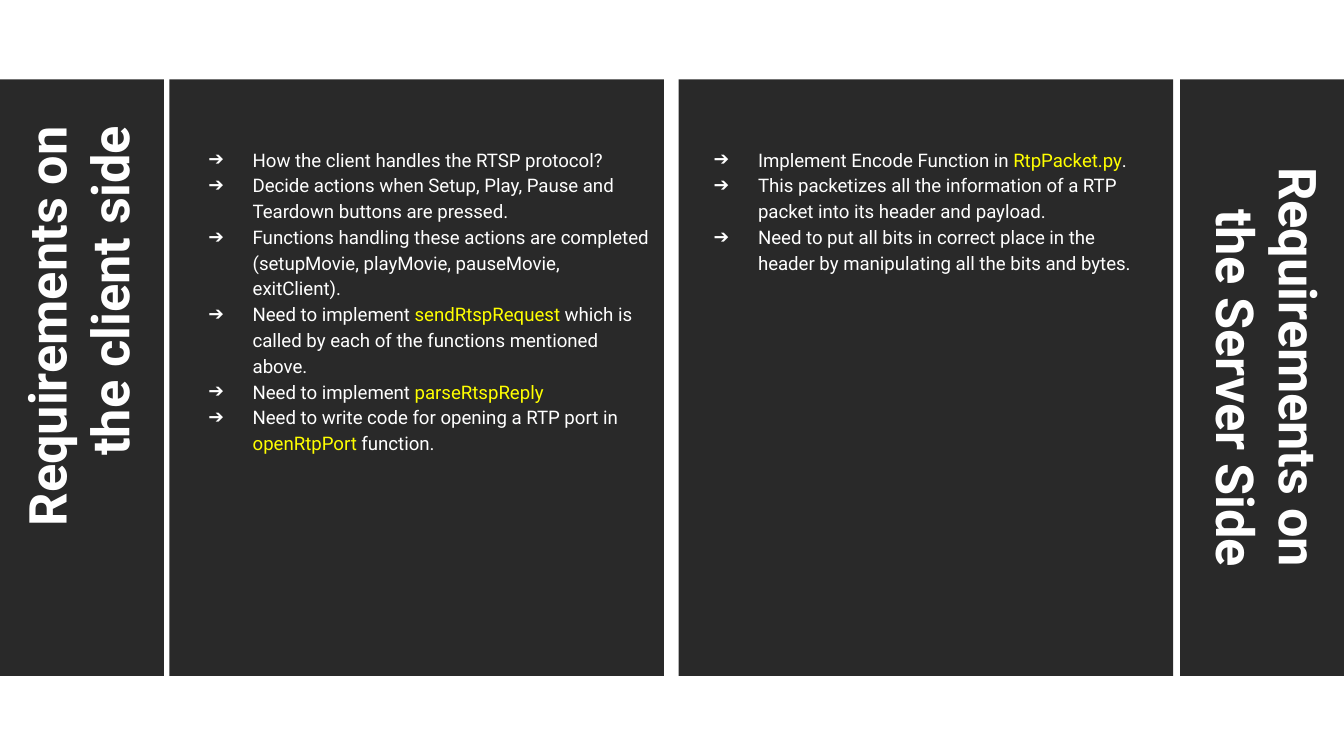
from dataclasses import dataclass

from lxml import etree
from pptx import Presentation
from pptx.dml.color import RGBColor
from pptx.enum.shapes import MSO_SHAPE
from pptx.enum.text import MSO_ANCHOR, MSO_AUTO_SIZE, PP_ALIGN
from pptx.oxml.ns import qn
from pptx.shapes.placeholder import SlidePlaceholder
from pptx.slide import Slide
from pptx.text.text import _Paragraph as Paragraph
from pptx.util import Inches, Pt

RECTANGLE = MSO_SHAPE.RECTANGLE
TOP, BOTTOM = MSO_ANCHOR.TOP, MSO_ANCHOR.BOTTOM
RIGHT = PP_ALIGN.RIGHT
NO_AUTOFIT = MSO_AUTO_SIZE.NONE
COMPARISON_LAYOUT = 4


@dataclass(frozen=True)
class Theme:
    panel: RGBColor = RGBColor(0, 0, 0)
    panel_opacity: int = 84
    text: RGBColor = RGBColor(255, 255, 255)
    highlight: RGBColor = RGBColor(255, 255, 0)
    font: str = "Roboto"
    title_size: int = 28
    list_size: int = 10
    bullet: str = "➔"


@dataclass(frozen=True)
class Frame:
    left: float
    top: float
    width: float
    height: float
    rotation: int = 0


@dataclass(frozen=True)
class Side:
    title: str
    title_id: int
    title_frame: Frame
    title_panel: Frame
    items: tuple[str, ...]  # code names stand between bars
    list_id: int
    list_frame: Frame
    list_panel: Frame


THEME = Theme()
SIDES = (
    Side(
        "Requirements on the client side", 0,
        Frame(-1.25, 2.16, 3.71, 1.07, 270), Frame(-1.61, 2.2, 4.44, 1.22, 90),
        (
            "How the client handles the RTSP protocol?",
            "Decide actions when Setup, Play, Pause and Teardown buttons are pressed.",
            "Functions handling these actions are completed "
            "(setupMovie, playMovie, pauseMovie, exitClient).",
            "Need to implement |sendRtspRequest| which is called by each of "
            "the functions mentioned above.",
            "Need to implement |parseRtspReply",
            "Need to write code for opening a RTP port in |openRtpPort| function.",
        ),
        2, Frame(1.28, 0.98, 3.65, 3.43), Frame(0.88, 0.97, 4.44, 3.68, 270),
    ),
    Side(
        "Requirements on the Server Side", 1,
        Frame(7.66, 2.06, 3.47, 1.05, 90), Frame(7.17, 2.2, 4.44, 1.22, 270),
        (
            "Implement Encode Function in |RtpPacket.py|.",
            "This packetizes all the information of a RTP packet into its "
            "header and payload.",
            "Need to put all bits in correct place in the header by "
            "manipulating all the bits and bytes.",
        ),
        4, Frame(5.04, 0.98, 3.65, 3.43), Frame(4.67, 0.97, 4.44, 3.68, 270),
    ),
)


def draw_panel(page: Slide, frame: Frame) -> None:
    panel = page.shapes.add_shape(
        RECTANGLE, Inches(frame.left), Inches(frame.top),
        Inches(frame.width), Inches(frame.height))
    panel.rotation = frame.rotation
    panel.shadow.inherit = False
    panel.fill.solid()
    panel.fill.fore_color.rgb = THEME.panel
    panel.line.fill.background()
    color = panel.element.spPr.find(qn("a:solidFill"))[0]
    etree.SubElement(color, qn("a:alpha"), val=str(THEME.panel_opacity * 1000))


def place(page: Slide, placeholder_id: int, frame: Frame,
          anchor: MSO_ANCHOR) -> SlidePlaceholder:
    """Move a placeholder to its frame, in front of the panels."""
    box = next(p for p in page.placeholders
               if p.placeholder_format.idx == placeholder_id)
    box.left, box.top = Inches(frame.left), Inches(frame.top)
    box.width, box.height = Inches(frame.width), Inches(frame.height)
    box.rotation = frame.rotation
    box.element.getparent().append(box.element)
    text = box.text_frame
    text.word_wrap = True
    text.auto_size = NO_AUTOFIT
    text.vertical_anchor = anchor
    text.margin_left = text.margin_right = Inches(0.1)
    text.margin_top = text.margin_bottom = Inches(0.1)
    return box


def add_bullet(para: Paragraph) -> None:
    properties = para._p.get_or_add_pPr()
    properties.set("marL", str(Inches(0.5)))
    properties.set("indent", str(Inches(-0.33)))
    color = etree.SubElement(properties, qn("a:buClr"))
    etree.SubElement(color, qn("a:srgbClr"), val=str(THEME.text))
    etree.SubElement(properties, qn("a:buFont"), typeface=THEME.font)
    etree.SubElement(properties, qn("a:buChar"), char=THEME.bullet)


def write_title(box: SlidePlaceholder, title: str) -> None:
    box.text_frame.text = title
    para = box.text_frame.paragraphs[0]
    para.alignment = RIGHT
    para.space_before = Pt(0)
    font = para.runs[0].font
    font.name, font.size, font.bold = THEME.font, Pt(THEME.title_size), True
    font.color.rgb = THEME.text


def write_list(box: SlidePlaceholder, items: tuple[str, ...]) -> None:
    box.text_frame.text = "\n".join(item.replace("|", "") for item in items)
    for para, item in zip(box.text_frame.paragraphs, items):
        add_bullet(para)
        para.line_spacing = 1.15
        para.space_before = Pt(0)
        para.clear()
        for number, words in enumerate(item.split("|")):
            span = para.add_run()
            span.text = words
            span.font.name, span.font.size = THEME.font, Pt(THEME.list_size)
            span.font.color.rgb = THEME.highlight if number % 2 else THEME.text


def main() -> None:
    deck = Presentation()
    deck.slide_width = Inches(10)
    deck.slide_height = deck.slide_width * 9 // 16
    page = deck.slides.add_slide(deck.slide_layouts[COMPARISON_LAYOUT])

    # Dark panels, then the title and list of each side
    for side in SIDES:
        draw_panel(page, side.title_panel)
        draw_panel(page, side.list_panel)
        write_title(place(page, side.title_id, side.title_frame, BOTTOM), side.title)
        write_list(place(page, side.list_id, side.list_frame, TOP), side.items)

    # Unused placeholders
    for box in list(page.placeholders):
        if not box.text_frame.text:
            box.element.getparent().remove(box.element)

    deck.save("out.pptx")


if __name__ == "__main__":
    main()
